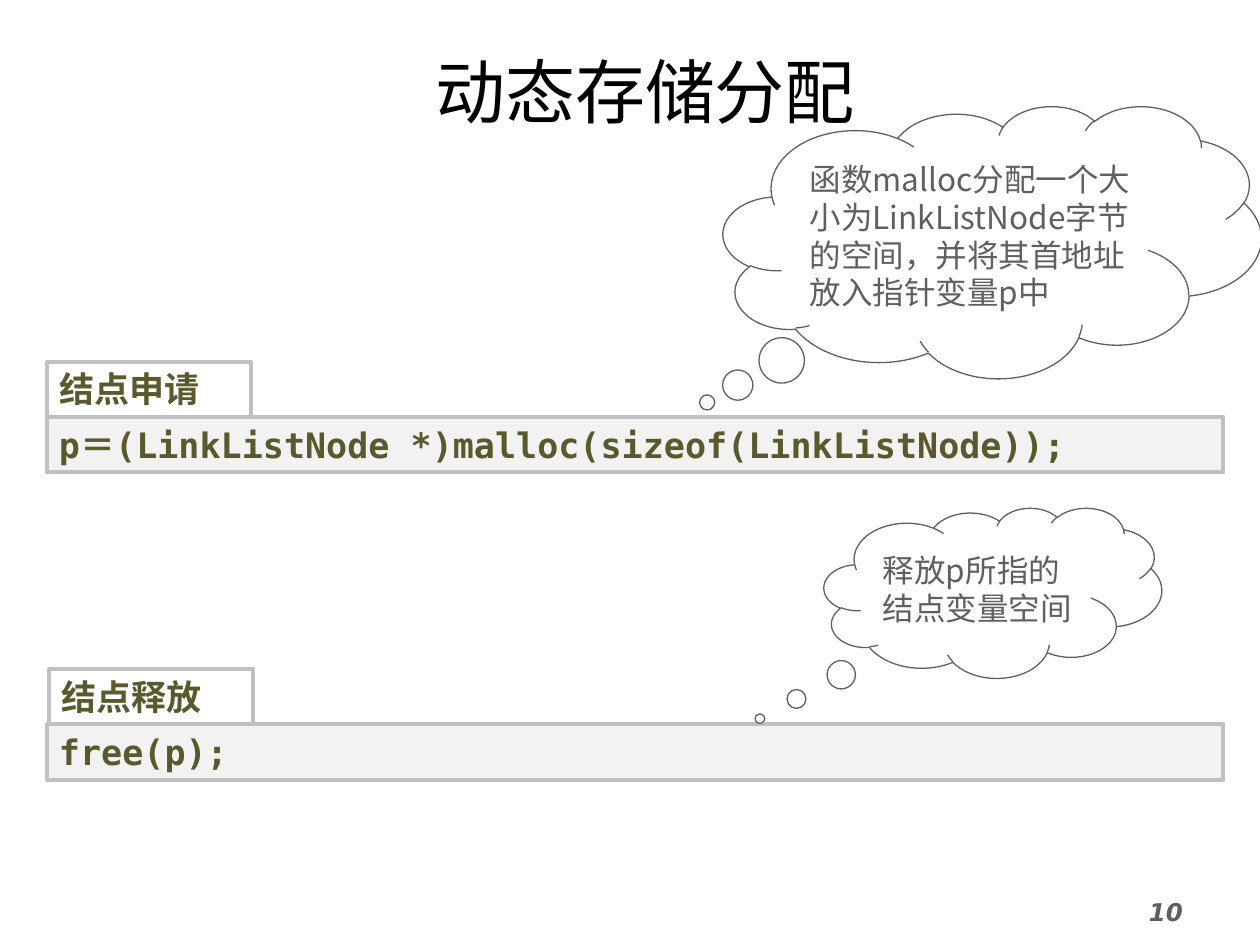
from dataclasses import dataclass

from lxml import etree
from pptx import Presentation, util as u
from pptx.dml.color import RGBColor
from pptx.enum import shapes, text
from pptx.oxml import ns


@dataclass(frozen=True)
class Theme:
    code_font: str = "DejaVu Sans Mono"
    number_font: str = "DejaVu Sans"
    chinese_font: str = "Noto Sans CJK SC"
    title_color: str = "000000"
    code_color: str = "5A592D"
    note_color: str = "5F5F5F"
    border: str = "C0C0C0"
    paper: str = "FFFFFF"
    code_fill: str = "F2F2F2"
    title_size: int = 40
    code_size: int = 20
    note_size: int = 18
    number_size: int = 14


class SlideBuilder:
    """Draws themed elements on a slide with a grid of 100 columns by 75 rows."""

    def __init__(self, presentation, theme):
        self.theme = theme
        self.slide = presentation.slides.add_slide(presentation.slide_layouts[6])
        self.column = presentation.slide_width / 100
        self.row = presentation.slide_height / 75

    def place(self, left, top, width, height):
        return [int(n * unit) for n, unit in zip(
            (left, top, width, height), (self.column, self.row) * 2)]

    def set_words(self, shape, words, font_name, size, color, bold=False, italic=False,
                  align=text.PP_ALIGN.LEFT, anchor=text.MSO_ANCHOR.TOP):
        frame = shape.text_frame
        frame.text = words
        frame.word_wrap = True
        frame.vertical_anchor = anchor
        paragraph = frame.paragraphs[0]
        paragraph.alignment = align
        font = paragraph.runs[0].font
        font.name, font.size = font_name, u.Pt(size)
        font.bold, font.italic = bold, italic
        font.color.rgb = RGBColor.from_string(color)
        latin = font._element.find(ns.qn("a:latin"))
        east_asian = etree.Element(ns.qn("a:ea"), typeface=self.theme.chinese_font)
        latin.addnext(east_asian)

    def outlined(self, kind, box, fill, line, weight):
        shape = self.slide.shapes.add_shape(kind, *self.place(*box))
        shape.shadow.inherit = False
        shape.fill.solid()
        shape.fill.fore_color.rgb = RGBColor.from_string(fill)
        shape.line.color.rgb = RGBColor.from_string(line)
        shape.line.width = u.Pt(weight)
        return shape

    def title(self, words, box):
        shape = self.slide.shapes.add_textbox(*self.place(*box))
        self.set_words(shape, words, self.theme.code_font, self.theme.title_size,
                       self.theme.title_color, align=text.PP_ALIGN.CENTER,
                       anchor=text.MSO_ANCHOR.MIDDLE)

    def page_number(self, words, box):
        shape = self.slide.shapes.add_textbox(*self.place(*box))
        self.set_words(shape, words, self.theme.number_font, self.theme.number_size,
                       self.theme.note_color, bold=True, italic=True)

    def code_box(self, words, box, fill):
        shape = self.outlined(shapes.MSO_SHAPE.RECTANGLE, box, fill,
                              self.theme.border, 2.25)
        self.set_words(shape, words, self.theme.code_font, self.theme.code_size,
                       self.theme.code_color, bold=True)

    def labelled_code(self, label, code, label_left, code_top):
        height = 4.4
        self.code_box(label, (label_left, code_top - height, 16.2, height),
                      self.theme.paper)
        self.code_box(code, (3.7, code_top, 93.4, height), self.theme.code_fill)

    def thought(self, words, box, tail):
        shape = self.outlined(shapes.MSO_SHAPE.CLOUD_CALLOUT, box, self.theme.paper,
                              self.theme.note_color, 0.75)
        shape.adjustments[0], shape.adjustments[1] = tail
        self.set_words(shape, words, self.theme.chinese_font, self.theme.note_size,
                       self.theme.note_color, anchor=text.MSO_ANCHOR.MIDDLE)


def main():
    presentation = Presentation()
    presentation.slide_width, presentation.slide_height = u.Inches(10), u.Inches(7.5)
    builder = SlideBuilder(presentation, Theme())
    builder.title("动态存储分配", (3.5, 3.3, 95.4, 7.7))
    builder.page_number("10", (90.2, 70.7, 10.2, 4.3))
    builder.labelled_code("结点申请", "p＝(LinkListNode *)malloc(sizeof(LinkListNode));",
                          3.7, 33.1)
    builder.labelled_code("结点释放", "free(p);", 3.9, 57.5)
    builder.thought("函数malloc分配一个大小为LinkListNode字节的空间，并将其首地址放入指针变量p中",
                    (57.4, 8.4, 42.7, 21.6), (-0.53, 0.59))
    builder.thought("释放p所指的结点变量空间", (65.4, 40.3, 26.8, 13.5), (-0.69, 0.74))
    presentation.save("out.pptx")


if __name__ == "__main__":
    main()
